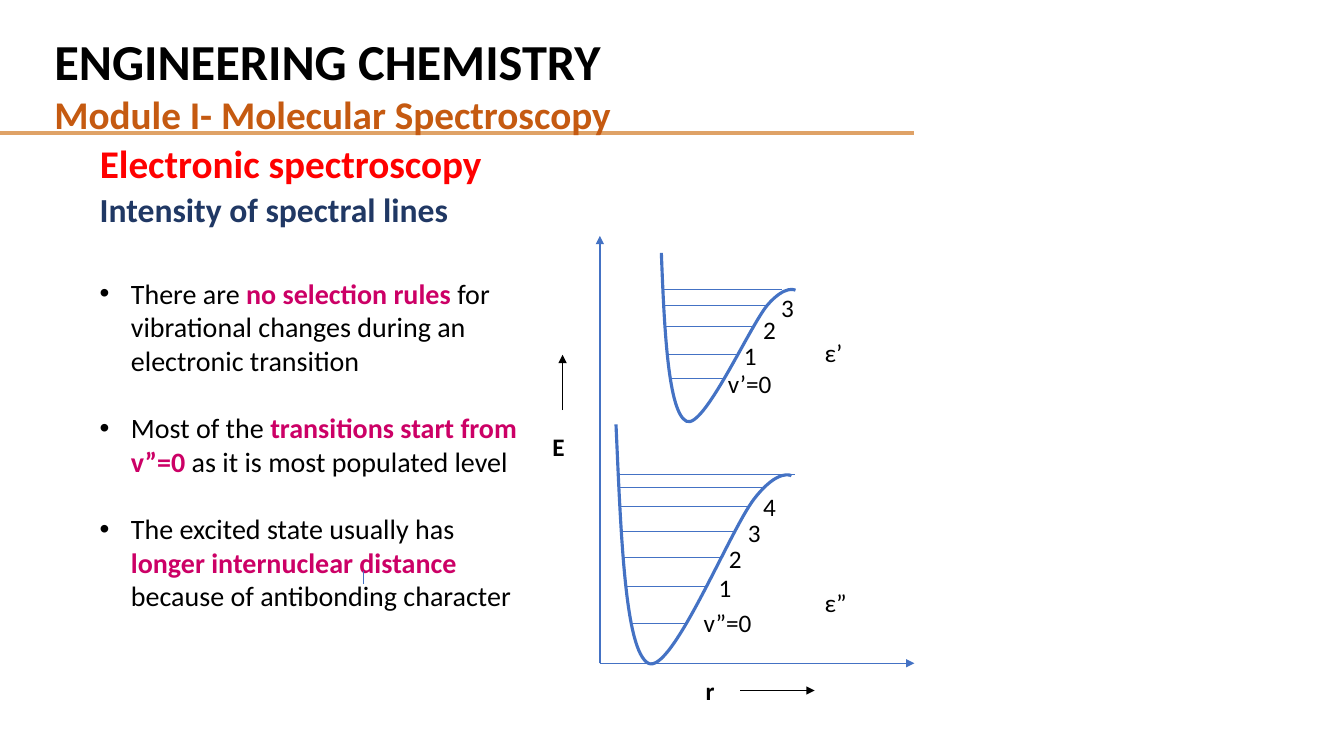
from lxml.etree import SubElement
from pptx import Presentation
from pptx.dml.color import RGBColor
from pptx.enum.shapes import MSO_CONNECTOR
from pptx.enum.text import MSO_ANCHOR, MSO_AUTO_SIZE, PP_ALIGN
from pptx.oxml.ns import qn
from pptx.util import Pt

PX = 9144
BLACK = RGBColor(0x00, 0x00, 0x00)
BLUE = RGBColor(0x44, 0x72, 0xC4)
NAVY = RGBColor(0x20, 0x38, 0x64)
RED = RGBColor(0xFF, 0x00, 0x00)
PINK = RGBColor(0xCC, 0x00, 0x66)
BROWN = RGBColor(0xC5, 0x5A, 0x11)
SAND = RGBColor(0xDF, 0xA2, 0x67)


def add_run(p, text, size, color=BLACK, bold=False):
    r = p.add_run()
    r.text = text
    r.font.name = "Calibri"
    r.font.size = Pt(size)
    r.font.bold = bold
    r.font.color.rgb = color


def add_line(parent, x1, y1, x2, y2, color=BLUE, width=0.5, arrow=False):
    ends = [v * PX for v in (x1, y1, x2, y2)]
    s = parent.add_connector(MSO_CONNECTOR.STRAIGHT, *ends)
    s.line.color.rgb = color
    s.line.width = Pt(width)
    if arrow:
        SubElement(s.line._get_or_add_ln(), qn("a:tailEnd"), type="triangle")
    SubElement(s._element.spPr, qn("a:effectLst"))


prs = Presentation()
prs.slide_width = 1333 * PX
prs.slide_height = 750 * PX
slide = prs.slides.add_slide(prs.slide_layouts[5])
shapes = slide.shapes

add_line(shapes, -1, 132, 907, 132, SAND, 3)

s = shapes.add_textbox(44 * PX, 25 * PX, 875 * PX, 118 * PX)
tf = s.text_frame
tf.word_wrap = True
add_run(tf.paragraphs[0], "ENGINEERING CHEMISTRY", 36, BLACK, True)
add_run(tf.add_paragraph(), "Module I- Molecular Spectroscopy", 28, BROWN, True)

title = shapes.title
title.left, title.top, title.width, title.height = [v * PX for v in (89, 146, 497, 37)]
tf = title.text_frame
tf.auto_size = MSO_AUTO_SIZE.NONE
tf.vertical_anchor = MSO_ANCHOR.MIDDLE
p = tf.paragraphs[0]
p.alignment = PP_ALIGN.LEFT
p.line_spacing = 0.9
add_run(p, "Electronic spectroscopy", 28, RED, True)

bullets = [
    (34, "There are ", "no selection rules ",
     "for vibrational changes during an electronic transition"),
    (24, "Most of the ", "transitions start from v”=0",
     " as it is most populated level"),
    (24, "The excited state usually has ", "longer internuclear distance ",
     "because of antibonding character"),
]
s = shapes.add_textbox(89 * PX, 182 * PX, 445 * PX, 505 * PX)
tf = s.text_frame
tf.word_wrap = True
add_run(tf.paragraphs[0], "Intensity of spectral lines", 24, NAVY, True)
for gap, before, key, after in bullets:
    p = tf.add_paragraph()
    p.space_before = Pt(gap)
    pPr = p._p.get_or_add_pPr()
    pPr.set("marL", str(31 * PX))
    pPr.set("indent", str(-31 * PX))
    SubElement(pPr, qn("a:buFont"), typeface="Arial")
    SubElement(pPr, qn("a:buChar"), char="•")
    add_run(p, before, 20)
    add_run(p, key, 20, PINK, True)
    add_run(p, after, 20)

add_line(shapes, 360, 566, 360, 579)

diagram = shapes.add_group_shape().shapes
add_line(diagram, 595, 658, 907, 658, BLUE, 1, True)
add_line(diagram, 595, 658, 595, 234, BLUE, 1, True)
add_line(diagram, 558, 407, 558, 352, BLACK, 1, True)
add_line(diagram, 734, 685, 808, 685, BLACK, 1, True)

ground_levels = [
    (621, 700, 582), (618, 716, 553), (617, 728, 527), (614, 743, 502),
    (613, 758, 484), (615, 789, 471), (628, 679, 618),
]
excited_levels = [
    (667, 719, 375), (661, 733, 352), (660, 748, 324), (657, 761, 303),
    (658, 776, 287),
]
for left, right, y in ground_levels + excited_levels:
    add_line(diagram, left, y, right, y)

ground_curve = [
    (611, 421), (616, 533), (620, 645), (643, 658), (666, 670),
    (724, 526), (748, 495), (772, 464), (785, 472), (785, 472),
]
excited_curve = [
    (656, 251), (659, 330), (663, 409), (681, 418), (698, 426),
    (743, 325), (761, 303), (779, 282), (789, 288), (789, 288),
]
for curve, height in ((ground_curve, 238), (excited_curve, 167)):
    points = [(x * PX, y * PX) for x, y in curve]
    builder = diagram.build_freeform(*points[0])
    builder.add_line_segments(points[1:], close=False)
    s = builder.convert_to_shape()
    outline = next(s._element.iter(qn("a:path")))
    corners = outline.findall(qn("a:lnTo"))
    for i in range(0, len(corners), 3):
        bend = SubElement(outline, qn("a:cubicBezTo"))
        for corner in corners[i:i + 3]:
            bend.append(corner[0])
            outline.remove(corner)
    outline.set("h", str(height * PX))
    s.height = height * PX
    s.shadow.inherit = False
    s.fill.background()
    s.line.color.rgb = BLUE
    s.line.width = Pt(2.25)

labels = [
    ("E", 538, 423, 41, True), ("r", 690, 665, 24, True),
    ("ε”", 808, 578, 52, False), ("ε’", 808, 330, 52, False),
    ("v”=0", 688, 598, 74, False), ("v’=0", 712, 360, 74, False),
    ("1", 703, 563, 25, False), ("2", 713, 534, 25, False),
    ("3", 732, 508, 25, False), ("4", 747, 483, 25, False),
    ("1", 728, 333, 25, False), ("2", 747, 307, 25, False),
    ("3", 765, 285, 25, False),
]
for text, x, y, width, bold in labels:
    s = diagram.add_textbox(x * PX, y * PX, width * PX, 40 * PX)
    s.text_frame.word_wrap = True
    add_run(s.text_frame.paragraphs[0], text, 18, BLACK, bold)

prs.save("out.pptx")
